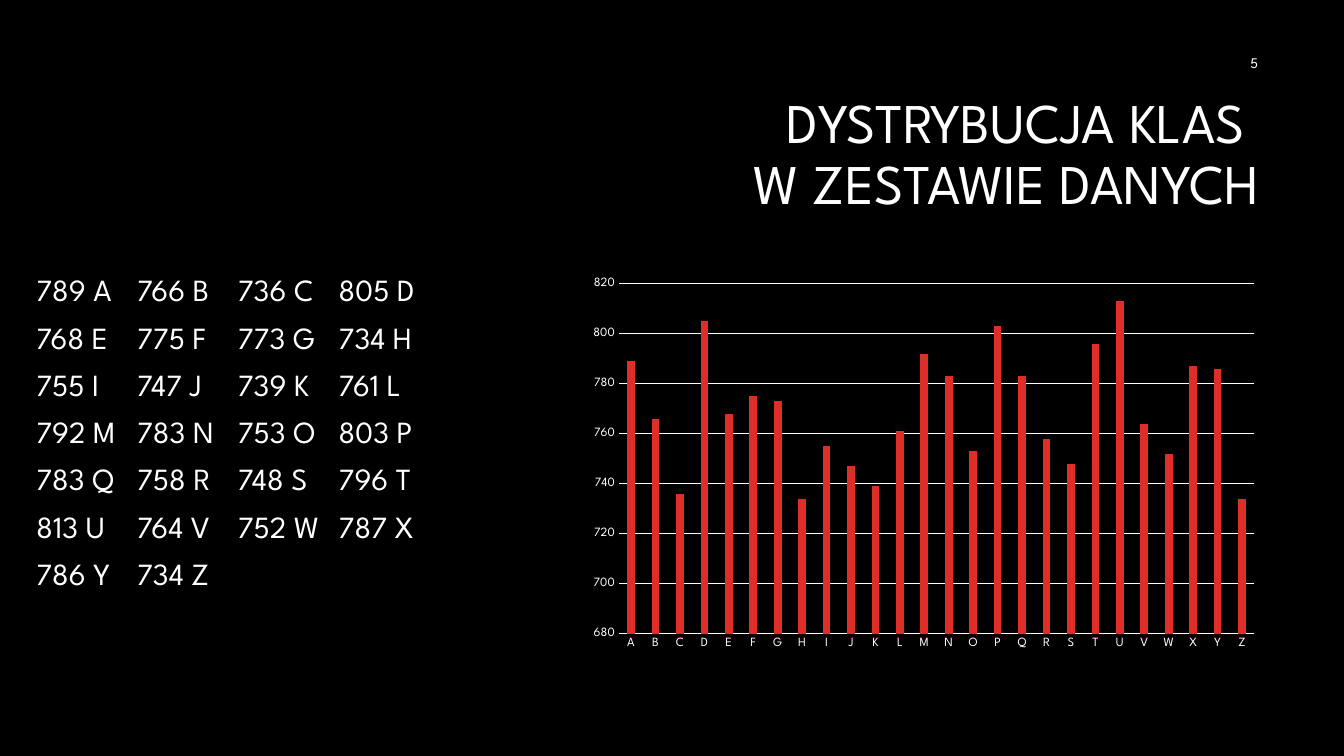
from dataclasses import dataclass

import lxml.etree
import pptx
import pptx.chart.data
import pptx.dml.color
import pptx.enum.chart
import pptx.enum.text
import pptx.oxml.ns
import pptx.util

Pt = pptx.util.Pt
Align = pptx.enum.text.PP_ALIGN
Anchor = pptx.enum.text.MSO_ANCHOR

COLORS = {"background": "000000", "text": "FFFFFF", "bar": "DF2E28"}
FONT = "League Spartan"


@dataclass(frozen=True)
class CountRow:
    counts: tuple[int, ...]
    stops: tuple[float, ...]


ROWS = [
    CountRow((789, 766, 736, 805), (88.4, 167, 248)),
    CountRow((768, 775, 773, 734), (88.4, 165.5, 247.5)),
    CountRow((755, 747, 739, 761), (83.4, 156, 240)),
    CountRow((792, 783, 753, 803), (84, 160.5, 237.5)),
    CountRow((783, 758, 748, 796), (82.6, 162.6, 239)),
    CountRow((813, 764, 752, 787), (81.2, 155.5, 230)),
    CountRow((786, 734), (88.4,)),
]
LETTERS = "ABCDEFGHIJKLMNOPQRSTUVWXYZ"


def rgb(name: str) -> pptx.dml.color.RGBColor:
    return pptx.dml.color.RGBColor.from_string(COLORS[name])


def style_font(font, size: float) -> None:
    font.name = FONT
    font.size = Pt(size)
    font.bold = False
    font.color.rgb = rgb("text")


def style_line(line) -> None:
    line.color.rgb = rgb("text")
    line.width = Pt(0.75)


def place(box, left: float, top: float, width: float, height: float, anchor) -> None:
    box.left, box.top, box.width, box.height = map(Pt, (left, top, width, height))
    frame = box.text_frame
    frame.word_wrap = True
    frame.auto_size = pptx.enum.text.MSO_AUTO_SIZE.NONE
    frame.vertical_anchor = anchor


def write(para, text: str, *, size: float, align=Align.LEFT,
          spacing: float = 1.0, before: float = 0) -> None:
    para.text = text
    para.alignment = align
    para.line_spacing = spacing
    para.space_before = Pt(before)
    for span in para.runs:
        style_font(span.font, size)


def set_tabs(para, stops: tuple[float, ...]) -> None:
    qn = pptx.oxml.ns.qn
    properties = para._p.get_or_add_pPr()
    properties.set("marL", "0")
    properties.set("indent", "0")
    lxml.etree.SubElement(properties, qn("a:buNone"))
    tabs = lxml.etree.SubElement(properties, qn("a:tabLst"))
    for stop in stops:
        lxml.etree.SubElement(tabs, qn("a:tab"), pos=str(int(Pt(stop))), algn="l")


def add_counts(body) -> None:
    place(body, 18.72, 192.96, 372.24, 316.8, Anchor.TOP)
    frame = body.text_frame
    letters = iter(LETTERS)
    for index, row in enumerate(ROWS):
        para = frame.add_paragraph() if index else frame.paragraphs[0]
        text = "\t".join(f"{count} {next(letters)}" for count in row.counts)
        write(para, text, size=22, spacing=0.9, before=10)
        set_tabs(para, row.stops)


def add_count_chart(page) -> None:
    data = pptx.chart.data.CategoryChartData()
    data.categories = list(LETTERS)
    data.add_series("Series 1", [count for row in ROWS for count in row.counts])
    chart = page.shapes.add_chart(
        pptx.enum.chart.XL_CHART_TYPE.COLUMN_CLUSTERED,
        Pt(414), Pt(192.96), Pt(491.76), Pt(276.48), data,
    ).chart
    chart.has_title = False
    chart.has_legend = False
    style_font(chart.font, 10)

    plot = chart.plots[0]
    plot.gap_width = 219
    plot.overlap = -27
    plot.vary_by_categories = False
    fill = plot.series[0].format.fill
    fill.solid()
    fill.fore_color.rgb = rgb("bar")

    for axis in (chart.category_axis, chart.value_axis):
        axis.major_tick_mark = pptx.enum.chart.XL_TICK_MARK.NONE
        axis.minor_tick_mark = pptx.enum.chart.XL_TICK_MARK.NONE
        style_font(axis.tick_labels.font, 9)
    style_line(chart.category_axis.format.line)
    values = chart.value_axis
    values.minimum_scale, values.maximum_scale, values.major_unit = 680, 820, 20
    values.format.line.fill.background()
    style_line(values.major_gridlines.format.line)


def main() -> None:
    deck = pptx.Presentation()
    deck.slide_width, deck.slide_height = Pt(960), Pt(540)
    page = deck.slides.add_slide(deck.slide_layouts[1])
    page.background.fill.solid()
    page.background.fill.fore_color.rgb = rgb("background")

    title = page.shapes.title
    place(title, 228.24, 60.48, 678.24, 101.52, Anchor.MIDDLE)
    write(title.text_frame.paragraphs[0], "DYSTRYBUCJA KLAS \nW ZESTAWIE DANYCH",
          size=40, align=Align.RIGHT, spacing=0.9)
    add_counts(page.placeholders[1])
    add_count_chart(page)

    number = page.shapes.add_textbox(0, 0, 0, 0)
    place(number, 689.76, 30.24, 216, 28.8, Anchor.MIDDLE)
    write(number.text_frame.paragraphs[0], "5", size=10.5, align=Align.RIGHT)
    deck.save("out.pptx")


if __name__ == "__main__":
    main()
